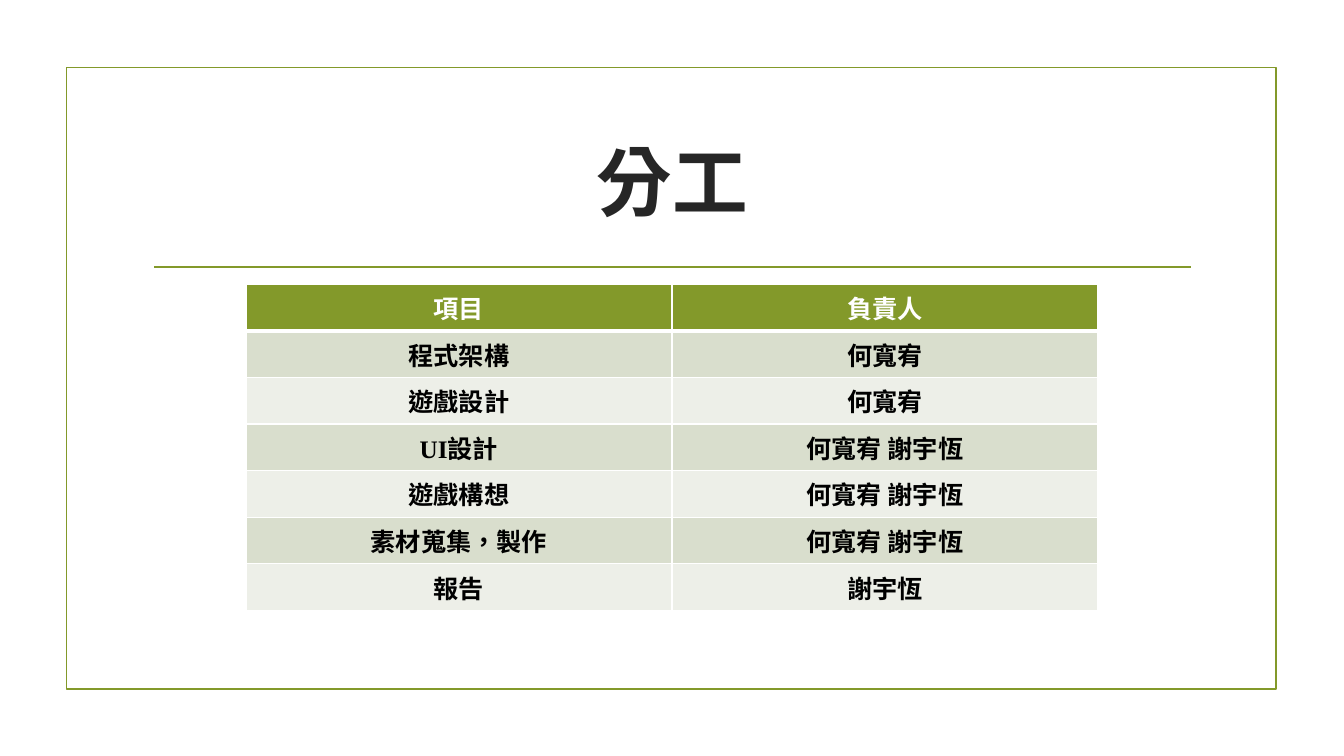
import dataclasses

import lxml.etree
import pptx
import pptx.dml.color
import pptx.enum.lang
import pptx.enum.shapes
import pptx.enum.text
import pptx.oxml.ns
import pptx.util

SLIDE_WIDTH = pptx.util.Inches(13.33)
SLIDE_HEIGHT = pptx.util.Inches(7.5)
FONT = "Times New Roman"
GREEN = "83992A"
WHITE = "FFFFFF"
BLACK = "000000"
TITLE_COLOR = "262626"
BAND_FILLS = ("D9DECD", "EDEFE8")
LINE_WIDTH = pptx.util.Pt(1.25)


@dataclasses.dataclass(frozen=True)
class Area:
    left: float
    top: float
    width: float
    height: float

    def box(self) -> tuple[int, int, int, int]:
        return (
            across(self.left),
            down(self.top),
            across(self.width),
            down(self.height),
        )


@dataclasses.dataclass(frozen=True)
class Duty:
    item: str
    owner: str


FRAME = Area(4.95, 8.93, 90.02, 82.27)
RULE = Area(11.48, 35.33, 77.12, 0)
TITLE = Area(10.65, 14.27, 78.77, 19.07)
TABLE = Area(18.3, 37.6, 63.39, 37.87)

HEADING = Duty("項目", "負責人")
DUTIES = (
    Duty("程式架構", "何寬宥"),
    Duty("遊戲設計", "何寬宥"),
    Duty("UI設計", "何寬宥 謝宇恆"),
    Duty("遊戲構想", "何寬宥 謝宇恆"),
    Duty("素材蒐集，製作", "何寬宥 謝宇恆"),
    Duty("報告", "謝宇恆"),
)


def across(percent: float) -> int:
    return round(SLIDE_WIDTH * percent / 100)


def down(percent: float) -> int:
    return round(SLIDE_HEIGHT * percent / 100)


def color(value: str) -> pptx.dml.color.RGBColor:
    return pptx.dml.color.RGBColor.from_string(value)


def write(text_frame, text: str, size: int, text_color: str) -> None:
    paragraph = text_frame.paragraphs[0]
    paragraph.alignment = pptx.enum.text.PP_ALIGN.CENTER
    run = paragraph.add_run()
    run.text = text
    run.font.name = FONT
    run.font.size = pptx.util.Pt(size)
    run.font.bold = True
    run.font.color.rgb = color(text_color)
    run.font.language_id = pptx.enum.lang.MSO_LANGUAGE_ID.TRADITIONAL_CHINESE


def add_frame(slide) -> None:
    shape = slide.shapes.add_shape(
        pptx.enum.shapes.MSO_SHAPE.RECTANGLE, *FRAME.box()
    )
    shape.shadow.inherit = False
    shape.fill.background()
    shape.line.color.rgb = color(GREEN)
    shape.line.width = LINE_WIDTH


def add_rule(slide) -> None:
    left, top, width, height = RULE.box()
    connector = slide.shapes.add_connector(
        pptx.enum.shapes.MSO_CONNECTOR.STRAIGHT, left, top, left + width, top + height
    )
    connector.line.color.rgb = color(GREEN)
    connector.line.width = LINE_WIDTH
    lxml.etree.SubElement(
        connector._element.spPr, pptx.oxml.ns.qn("a:effectLst")
    )


def add_title(slide) -> None:
    title = slide.shapes.title
    title.left, title.top, title.width, title.height = TITLE.box()
    title.text_frame.word_wrap = True
    title.text_frame.auto_size = pptx.enum.text.MSO_AUTO_SIZE.NONE
    title.text_frame.vertical_anchor = pptx.enum.text.MSO_ANCHOR.MIDDLE
    write(title.text_frame, "分工", 54, TITLE_COLOR)


def add_borders(cell, bottom_width: int) -> None:
    properties = cell._tc.get_or_add_tcPr()
    widths = {"lnL": 1, "lnR": 1, "lnT": 1, "lnB": bottom_width}
    for side, width in widths.items():
        border = lxml.etree.SubElement(
            properties, pptx.oxml.ns.qn(f"a:{side}"), w=str(pptx.util.Pt(width))
        )
        fill = lxml.etree.SubElement(border, pptx.oxml.ns.qn("a:solidFill"))
        lxml.etree.SubElement(fill, pptx.oxml.ns.qn("a:srgbClr"), val=WHITE)


def add_duty_table(slide) -> None:
    duties = (HEADING, *DUTIES)
    table = slide.shapes.add_table(len(duties), 2, *TABLE.box()).table
    for row, duty in enumerate(duties):
        is_heading = row == 0
        fill = GREEN if is_heading else BAND_FILLS[(row - 1) % 2]
        for column, text in enumerate((duty.item, duty.owner)):
            cell = table.cell(row, column)
            add_borders(cell, 3 if is_heading else 1)
            cell.fill.solid()
            cell.fill.fore_color.rgb = color(fill)
            write(cell.text_frame, text, 18, WHITE if is_heading else BLACK)


def main() -> None:
    presentation = pptx.Presentation()
    presentation.slide_width = SLIDE_WIDTH
    presentation.slide_height = SLIDE_HEIGHT
    slide = presentation.slides.add_slide(presentation.slide_layouts[5])
    slide.background.fill.solid()
    slide.background.fill.fore_color.rgb = color(WHITE)
    add_frame(slide)
    add_rule(slide)
    add_title(slide)
    add_duty_table(slide)
    presentation.save("out.pptx")


if __name__ == "__main__":
    main()
